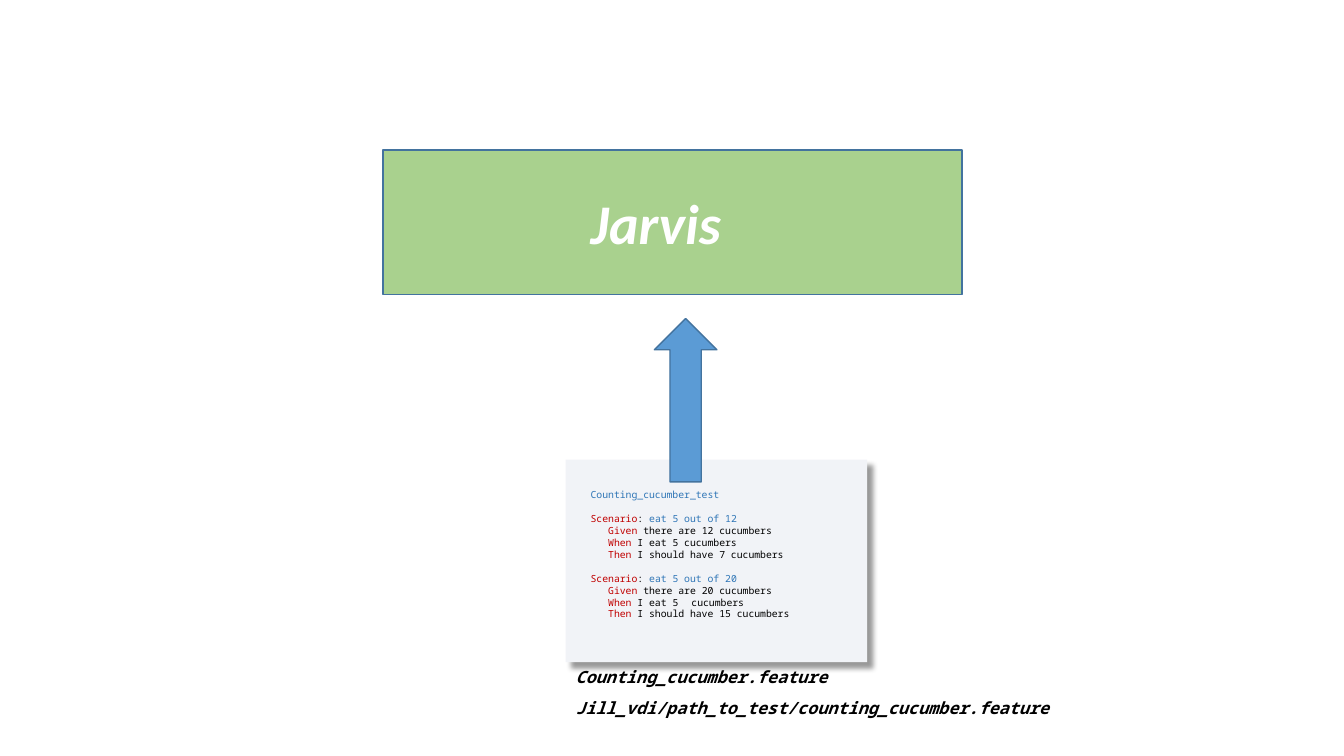
from lxml import etree
from pptx import Presentation
from pptx.dml.color import RGBColor
from pptx.enum.shapes import MSO_SHAPE as SHAPE
from pptx.enum.text import MSO_AUTO_SIZE as AUTO
from pptx.oxml import parse_xml
from pptx.oxml.ns import nsdecls
from pptx.util import Inches, Pt

BLACK = RGBColor(0x00, 0x00, 0x00)
WHITE = RGBColor(0xFF, 0xFF, 0xFF)
RED = RGBColor(0xC0, 0x00, 0x00)
BLUE = RGBColor(0x2E, 0x75, 0xB6)
PAPER = RGBColor(0xF1, 0xF3, 0xF7)
GREEN = RGBColor(0xA9, 0xD1, 0x8E)
ARROW = RGBColor(0x5B, 0x9B, 0xD5)
EDGE = RGBColor(0x43, 0x73, 0x9E)
MONO = "Noto Sans Mono"

prs = Presentation()
prs.slide_width, prs.slide_height = Inches(13.33), Inches(7.5)
s = prs.slides.add_slide(prs.slide_layouts[6])


def add_box(kind, x, y, w, h, fill, line=None):
    sp = s.shapes.add_shape(kind, Inches(x), Inches(y), Inches(w), Inches(h))
    sp.shadow.inherit = False
    sp.fill.solid()
    sp.fill.fore_color.rgb = fill
    if line:
        sp.line.color.rgb = line
        sp.line.width = Pt(1)
    else:
        sp.line.fill.background()
    return sp


def add_text(x, y, w, h, lines, size, font, bold=False):
    tf = s.shapes.add_textbox(Inches(x), Inches(y), Inches(w), Inches(h)).text_frame
    tf.word_wrap = True
    tf.auto_size = AUTO.SHAPE_TO_FIT_TEXT
    for i, line in enumerate(lines):
        p = tf.paragraphs[0] if i == 0 else tf.add_paragraph()
        for text, color in line:
            r = p.add_run()
            r.text = text
            r.font.size = Pt(size)
            r.font.name = font
            r.font.color.rgb = color
            if bold:
                r.font.bold = r.font.italic = True
    return tf


paper = add_box(SHAPE.RECTANGLE, 5.61, 4.56, 2.99, 2.01, PAPER)
effects = paper._element.spPr.find("{*}effectLst")
effects.append(parse_xml(
    f'<a:outerShdw {nsdecls("a")} blurRad="{Pt(4)}" dist="{Pt(6)}" dir="2700000" '
    'algn="tl" rotWithShape="0"><a:srgbClr val="000000"><a:alpha val="40000"/>'
    '</a:srgbClr></a:outerShdw>'))

scenarios = [
    ("eat 5 out of 12", " there are 12 cucumbers", " I eat 5 cucumbers", " I should have 7 cucumbers"),
    ("eat 5 out of 20", " there are 20 cucumbers", " I eat 5 \tcucumbers", " I should have 15 cucumbers"),
]
code = [[("Counting_cucumber_test", BLUE)]]
for title, *steps in scenarios:
    code.append([("Scenario", RED), (": ", BLACK), (title, BLUE)])
    for keyword, step in zip(("Given", "When", "Then"), steps):
        code.append([("   ", BLACK), (keyword, RED), (step, BLACK)])

tf = add_text(5.76, 4.8, 2.52, 1.4, code, 7, MONO)
for p in tf.paragraphs:
    if p.text.startswith("Scenario"):
        p.space_before = Pt(9)

add_text(5.61, 6.57, 4.8, 0.3, [[("Counting_cucumber.feature", BLACK)]], 12, MONO, True)
add_text(5.61, 6.87, 5.34, 0.3,
         [[("Jill_vdi/path_to_test/counting_cucumber.feature", BLACK)]], 12, MONO, True)

add_box(SHAPE.RECTANGLE, 3.8, 1.49, 5.74, 1.43, GREEN, EDGE)
add_text(5.76, 1.82, 5.59, 0.77, [[("Jarvis", WHITE)]], 40, "Calibri", True)

arrow = add_box(SHAPE.RIGHT_ARROW, 5.99, 3.66, 1.62, 0.62, ARROW, EDGE)
arrow.rotation = 270

prs.save("out.pptx")
